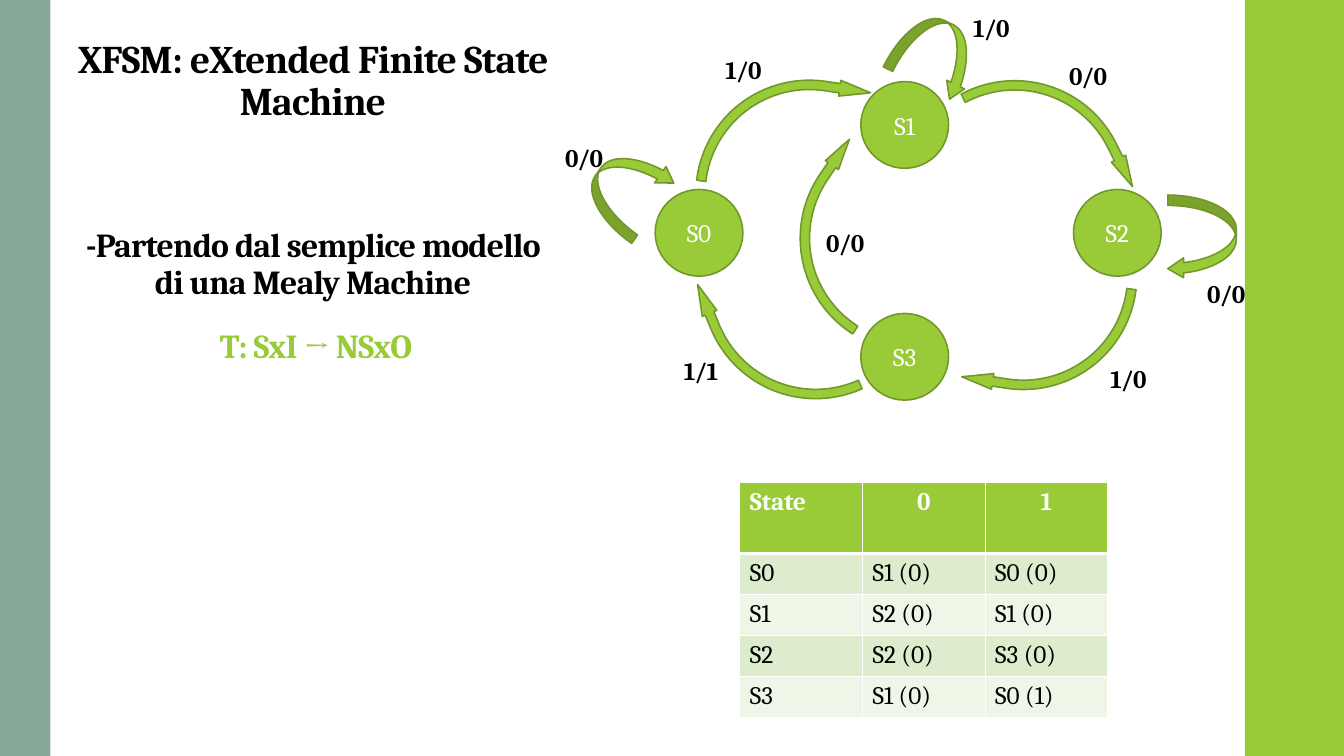
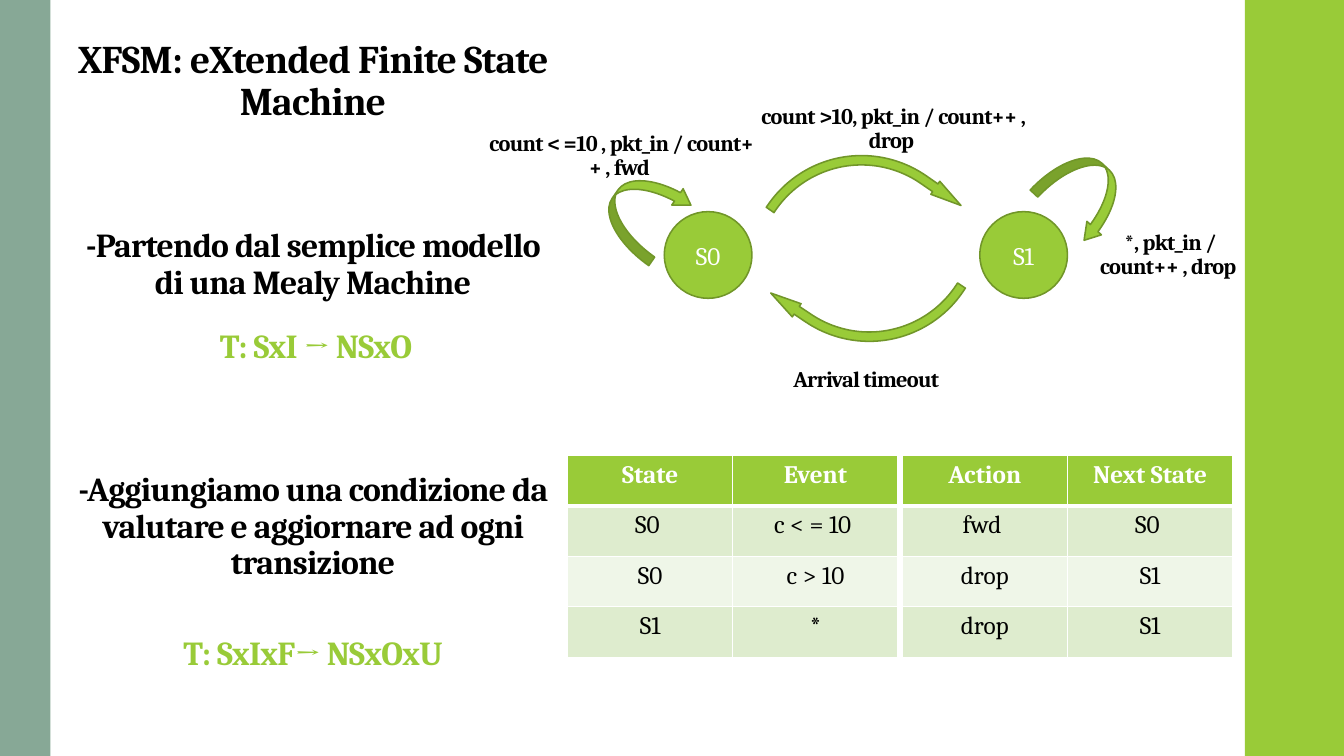
from dataclasses import dataclass

from lxml.etree import SubElement
from pptx import Presentation
from pptx.dml.color import RGBColor
from pptx.enum.shapes import MSO_SHAPE as Preset
from pptx.enum.text import MSO_ANCHOR as Anchor, MSO_AUTO_SIZE as AutoSize, PP_ALIGN as Align
from pptx.oxml.ns import qn
from pptx.util import Inches, Pt


@dataclass(frozen=True)
class Theme:
    """Colours, font and type sizes shared by the slides."""
    font: str = "Cambria"
    black: str = "000000"
    white: str = "FFFFFF"
    green: str = "99CB38"
    outline: str = "719629"
    sage: str = "87A896"
    stripes: tuple = ("DEECCE", "EFF6E8")
    title: int = 28
    note: int = 24
    body: int = 18
    small: int = 16
    outline_width: float = 1.1


@dataclass(frozen=True)
class Box:
    """Rectangle measured in grid units of a tenth of an inch."""
    left: float
    top: float
    width: float
    height: float

    def inner(self, left, top, width, height):
        """Return a box placed relative to this one."""
        return Box(self.left + left, self.top + top, width, height)

    def centred(self, x, y, width, height):
        """Return a box centred on a point of this one."""
        return self.inner(x - width / 2, y - height / 2, width, height)

    def frame(self):
        """Return left, top, width and height as lengths."""
        return [Inches(value / 10) for value in (self.left, self.top, self.width, self.height)]


THEME = Theme()
PAGE = Box(0, 0, 133.33, 75)
TITLE = PAGE.inner(6.7, 3.3, 48.7, 9.5)
NOTES = PAGE.inner(6.7, 20.9, 48.7, 46.3)
DIAGRAM = PAGE.inner(53, 0, 70.5, 42)
NODE_SIZE = (8.7, 8.6)
ARROWS = {
    "loop": (Preset.CURVED_DOWN_ARROW, (8.3, 6.8), (0.152, 0.29, 0.23)),
    "arc": (Preset.BENT_ARROW, (15.8, 11.9), (0.078, 0.066, 0.26, 0.946)),
}

MEALY_NOTES = [
    ("-Partendo dal semplice modello di una Mealy Machine", (0, 0, 48.7, 9.5), THEME.black),
    ("T: SxI → NSxO", (10.8, 10.15, 27.7, 5.7), THEME.green),
]
CONDITION_NOTES = [
    ("-Aggiungiamo una condizione da valutare e aggiornare ad ogni transizione",
     (0, 22.3, 48.7, 15), THEME.black),
    ("T: SxIxF→ NSxOxU", (6.2, 40.6, 36.3, 5.7), THEME.green),
]

MEALY_NODES = [("S0", 16.35, 23.1), ("S1", 36.75, 12.4), ("S3", 36.75, 35.4), ("S2", 57.85, 23.1)]
MEALY_ARROWS = [
    ("loop", 9.25, 18.8, 304.9),
    ("arc", 24.8, 13.15, 8.5),
    ("arc", 51.2, 13.75, 63.5),
    ("loop", 39.85, 5.4, 26),
    ("arc", 31.1, 23.25, 304.2),
    ("arc", 24, 33.55, 247.5),
    ("loop", 66.25, 23.5, 90),
    ("arc", 51, 33.45, 188.6),
]
MEALY_LABELS = [
    ("1/0", 58.95, 39.6, 8),
    ("0/0", 4.95, 17.7, 8),
    ("1/0", 20.75, 8.9, 8),
    ("0/0", 54.95, 9.5, 8),
    ("1/0", 45.35, 4.8, 8),
    ("0/0", 68.65, 31.1, 8),
    ("1/1", 16.55, 38.8, 8),
    ("0/0", 30.85, 26.1, 8),
]
MEALY_TABLE = [
    ["State", "0", "1"],
    ["S0", "S1 (0)", "S0 (0)"],
    ["S1", "S2 (0)", "S1 (0)"],
    ["S2", "S2 (0)", "S3 (0)"],
    ["S3", "S1 (0)", "S0 (1)"],
]

COUNTER_NODES = [("S0", 17.25, 25.3), ("S1", 48.55, 25.3)]
COUNTER_ARROWS = [
    ("loop", 10.95, 21, 304.9),
    ("arc", 32.9, 20.15, 34.6),
    ("loop", 54.55, 19.2, 43),
    ("arc", 32.9, 29.15, 213.7),
]
COUNTER_LABELS = [
    ("count < =10 , pkt_in / count++ , fwd ", 8.65, 18.4, 28.7),
    ("count >10, pkt_in / count++ , drop ", 35.65, 15.7, 28.7),
    ("Arrival timeout", 32.95, 39.4, 28.7),
    ("*, pkt_in / count++ , drop ", 63.1, 28.2, 17.8),
]
COUNTER_TABLES = [
    [["State", "Event"], ["S0 ", "c < = 10 "], ["S0", "c > 10"], ["S1", "*"]],
    [["Action", "Next State"], ["fwd ", "S0 "], ["drop", "S1"], ["drop", "S1"]],
]


def write_text(text_frame, text, size=THEME.body, color=THEME.black, bold=False,
               align=Align.CENTER, line_spacing=None, tracking=None):
    """Write one formatted paragraph into a text frame."""
    paragraph = text_frame.paragraphs[0]
    paragraph.alignment = align
    if line_spacing:
        paragraph.line_spacing = line_spacing
    run = paragraph.add_run()
    run.text = text
    run.font.name = THEME.font
    run.font.size = Pt(size)
    run.font.bold = bold
    run.font.color.rgb = RGBColor.from_string(color)
    if tracking:
        run.font._element.set("spc", str(int(tracking * 100)))


def write_heading(shape, text, **text_format):
    """Write bold, tight, bottom-anchored text into a shape."""
    text_frame = shape.text_frame
    text_frame.word_wrap = True
    text_frame.auto_size = AutoSize.NONE
    text_frame.vertical_anchor = Anchor.BOTTOM
    text_frame.margin_left = text_frame.margin_right = Inches(0.1)
    text_frame.margin_top, text_frame.margin_bottom = Inches(0.03), Inches(0.05)
    write_text(text_frame, text, bold=True, line_spacing=0.9, tracking=-0.5, **text_format)


def add_text(slide, box, text, **text_format):
    """Add a text box in the heading style."""
    write_heading(slide.shapes.add_textbox(*box.frame()), text, **text_format)


def add_preset(slide, preset, box, fill, outline=None):
    """Add a flat preset shape with an optional outline."""
    shape = slide.shapes.add_shape(preset, *box.frame())
    shape.shadow.inherit = False
    shape.fill.solid()
    shape.fill.fore_color.rgb = RGBColor.from_string(fill)
    if outline:
        shape.line.color.rgb = RGBColor.from_string(outline)
        shape.line.width = Pt(THEME.outline_width)
    else:
        shape.line.fill.background()
    return shape


def add_bands(slide):
    """Draw the side bands and move them to the slide's layout."""
    right_band, left_band = PAGE.inner(123.5, 0, 9.83, 75), PAGE.inner(0, 0, 5, 75)
    for box, color in ((right_band, THEME.green), (left_band, THEME.sage)):
        band = add_preset(slide, Preset.RECTANGLE, box, color)
        slide.slide_layout.shapes.element.insert(2, band.element)


def add_title(slide, box, text):
    """Place and fill the title placeholder."""
    title = slide.shapes.title
    title.left, title.top, title.width, title.height = box.frame()
    write_heading(title, text, size=THEME.title)


def add_notes(slide, box, notes):
    """Add the statements and formulas of the left column."""
    for text, place, color in notes:
        add_text(slide, box.inner(*place), text, size=THEME.note, color=color)


def add_diagram(slide, box, nodes, arrows, labels, label_size):
    """Draw a state diagram from its nodes, arrows and labels."""
    for name, x, y in nodes:
        node = add_preset(slide, Preset.OVAL, box.centred(x, y, *NODE_SIZE),
                          THEME.green, THEME.outline)
        node.text_frame.vertical_anchor = Anchor.MIDDLE
        write_text(node.text_frame, name, color=THEME.white)
    for kind, x, y, rotation in arrows:
        preset, size, adjustments = ARROWS[kind]
        arrow = add_preset(slide, preset, box.centred(x, y, *size), THEME.green, THEME.outline)
        arrow.rotation = rotation
        for index, value in enumerate(adjustments):
            arrow.adjustments[index] = value
    for text, x, bottom, width in labels:
        add_text(slide, box.inner(x - width / 2, bottom - 4, width, 4), text, size=label_size)


def add_borders(cell, **widths):
    """Give a cell white borders of the widths named by side."""
    properties = cell._tc.get_or_add_tcPr()
    for side in "LRTB":
        line = SubElement(properties, qn(f"a:ln{side}"), w=str(Pt(widths.get(side, 1))))
        fill = SubElement(line, qn("a:solidFill"))
        SubElement(fill, qn("a:srgbClr"), val=THEME.white)


def add_state_table(slide, box, rows, header_height, header_aligns, body_align):
    """Add a striped table with a green header row."""
    table = slide.shapes.add_table(len(rows), len(rows[0]), *box.frame()).table
    table.first_row = table.horz_banding = False
    for column in table.columns:
        column.width = Inches(box.width / len(rows[0]) / 10)
    body_height = (box.height - header_height) / (len(rows) - 1)
    for row_index, values in enumerate(rows):
        header = row_index == 0
        table.rows[row_index].height = Inches((header_height if header else body_height) / 10)
        fill = THEME.green if header else THEME.stripes[(row_index - 1) % 2]
        for column_index, value in enumerate(values):
            cell = table.cell(row_index, column_index)
            add_borders(cell, T=3 if row_index == 1 else 1, B=3 if header else 1)
            cell.fill.solid()
            cell.fill.fore_color.rgb = RGBColor.from_string(fill)
            write_text(cell.text_frame, value, bold=header,
                       color=THEME.white if header else THEME.black,
                       align=header_aligns[column_index] if header else body_align)


def start_slide(presentation, notes):
    """Add a slide with the shared title and its left column."""
    slide = presentation.slides.add_slide(presentation.slide_layouts[5])
    add_title(slide, TITLE, "XFSM: eXtended Finite State Machine")
    add_notes(slide, NOTES, notes)
    return slide


def build_mealy_slide(presentation):
    """Build the slide of the plain Mealy machine."""
    slide = start_slide(presentation, MEALY_NOTES)
    add_diagram(slide, DIAGRAM, MEALY_NODES, MEALY_ARROWS, MEALY_LABELS, THEME.body)
    add_state_table(slide, PAGE.inner(73.4, 47.9, 36.5, 23.3), MEALY_TABLE, 7,
                    [Align.LEFT, Align.CENTER, Align.CENTER], Align.LEFT)
    return slide


def build_counter_slide(presentation):
    """Build the slide of the machine extended with a counter."""
    slide = start_slide(presentation, MEALY_NOTES + CONDITION_NOTES)
    add_diagram(slide, DIAGRAM, COUNTER_NODES, COUNTER_ARROWS, COUNTER_LABELS, THEME.small)
    for index, rows in enumerate(COUNTER_TABLES):
        add_state_table(slide, PAGE.inner(56.3 + index * 33.2, 45.2, 32.8, 20), rows, 5,
                        [Align.CENTER] * 2, Align.CENTER)


def main():
    """Build and save the presentation."""
    presentation = Presentation()
    _, _, presentation.slide_width, presentation.slide_height = PAGE.frame()
    add_bands(build_mealy_slide(presentation))
    build_counter_slide(presentation)
    presentation.save("out.pptx")


if __name__ == "__main__":
    main()
